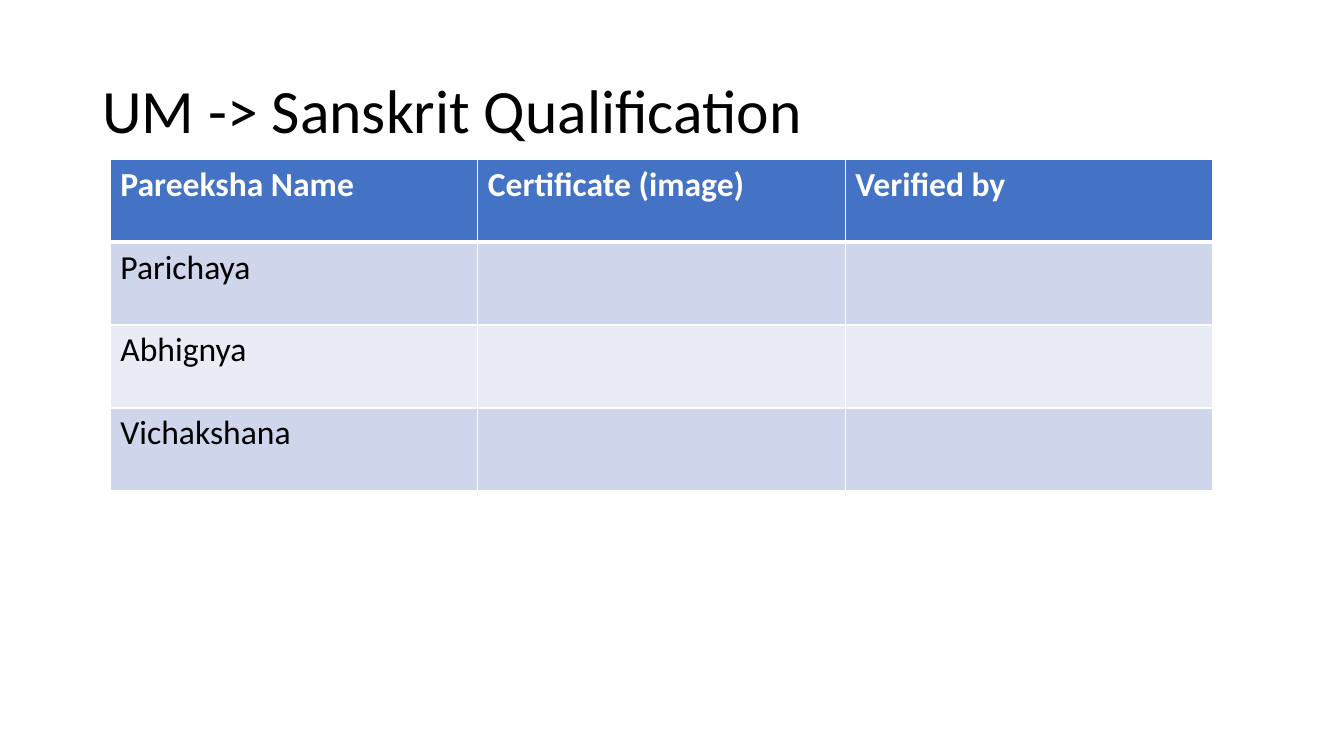
from lxml import etree
from pptx import Presentation
from pptx.dml.color import RGBColor
from pptx.enum.text import MSO_ANCHOR
from pptx.oxml.ns import qn
from pptx.util import Cm, Pt

MIDDLE = MSO_ANCHOR.MIDDLE
FONT = "Calibri"
WHITE, BLACK = "FFFFFF", "000000"
HEADER_FILL, BANDS = "4472C4", ["CFD5EA", "E9EBF5"]
ROWS = [
    ["Pareeksha Name", "Certificate (image)", "Verified by"],
    ["Parichaya", "", ""],
    ["Abhignya", "", ""],
    ["Vichakshana", "", ""],
]
COL_W, ROW_H = 9.26, 2.09


def rgb(color):
    return RGBColor.from_string(color)


def style_text(p, size, color, bold=False):
    for r in p.runs:
        r.font.name = FONT
        r.font.size = Pt(size)
        r.font.bold = bold
        r.font.color.rgb = rgb(color)


prs = Presentation()
prs.slide_width, prs.slide_height = Cm(33.87), Cm(19.05)
s = prs.slides.add_slide(prs.slide_layouts[6])

# Title
tf = s.shapes.add_textbox(Cm(2.33), Cm(1.01), Cm(29.21), Cm(3.68)).text_frame
tf.word_wrap = True
tf.vertical_anchor = MIDDLE
p = tf.paragraphs[0]
p.text = "UM -> Sanskrit Qualification"
p.line_spacing = 0.9
style_text(p, 44, BLACK)

# Qualification table
n_rows, n_cols = len(ROWS), len(ROWS[0])
table = s.shapes.add_table(n_rows, n_cols, Cm(2.78), Cm(4.01),
                           Cm(COL_W * n_cols), Cm(ROW_H * n_rows)).table
for col in table.columns:
    col.width = Cm(COL_W)
for row in table.rows:
    row.height = Cm(ROW_H)

for i, texts in enumerate(ROWS):
    header = i == 0
    for j, text in enumerate(texts):
        cell = table.cell(i, j)
        p = cell.text_frame.paragraphs[0]
        if text:
            p.text = text
            style_text(p, 24, WHITE if header else BLACK, header)

        # White borders, thicker between header and body
        tc_pr = cell._tc.get_or_add_tcPr()
        for side in ["L", "R", "T", "B"]:
            thick = (i, side) in [(0, "B"), (1, "T")]
            ln = etree.SubElement(tc_pr, qn(f"a:ln{side}"), w=str(Pt(3 if thick else 1)))
            fill = etree.SubElement(ln, qn("a:solidFill"))
            etree.SubElement(fill, qn("a:srgbClr"), val=WHITE)

        cell.fill.solid()
        cell.fill.fore_color.rgb = rgb(HEADER_FILL if header else BANDS[(i - 1) % 2])

prs.save("out.pptx")
